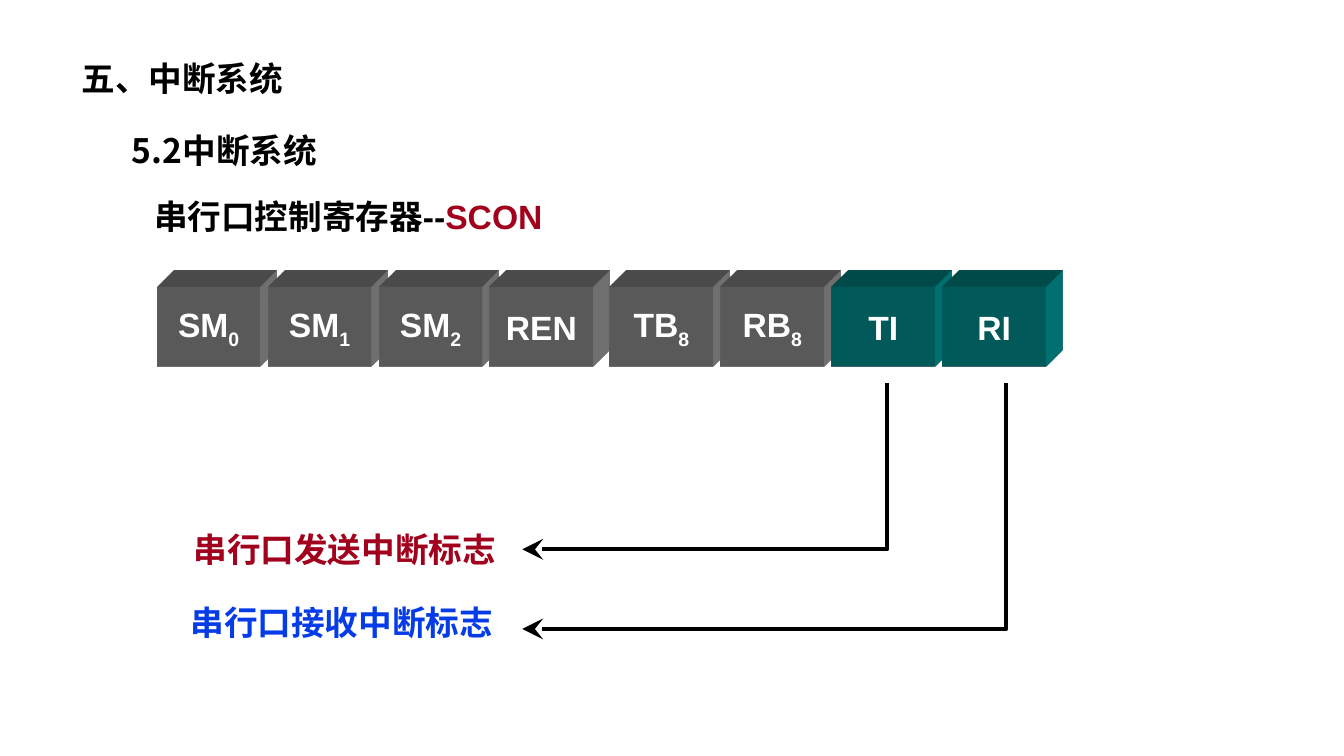
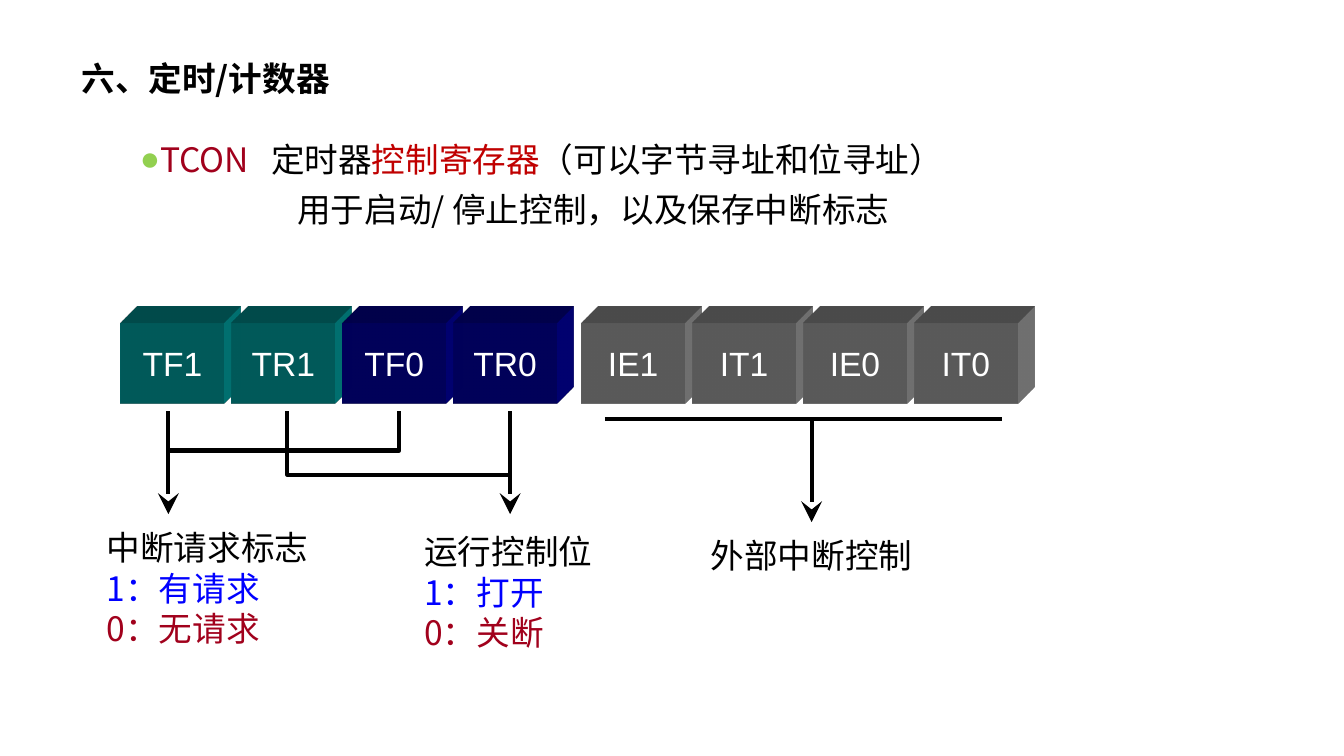
from lxml.etree import SubElement
from pptx import Presentation
from pptx.dml.color import RGBColor
from pptx.enum.shapes import MSO_CONNECTOR as Connector, MSO_SHAPE as Shape
from pptx.enum.text import MSO_ANCHOR as Anchor, MSO_AUTO_SIZE as AutoSize, PP_ALIGN as Align
from pptx.oxml.ns import qn
from pptx.util import Inches, Pt

COLOURS = {
    "black": "000000", "white": "FFFFFF", "crimson": "A1011C", "red": "C00000",
    "blue": "0000FF", "royal": "063CE8", "lime": "92D050",
    "grey": "808080", "teal": "008080", "navy": "000080",
}
SANS, CJK = "Arial", "Noto Sans CJK SC"
CUBE_WIDTH, CUBE_HEIGHT, CUBE_DEPTH, CUBE_PITCH = 1.02, 0.79, 0.47, 1.1


def apply(target, **values):
    for name, value in values.items():
        setattr(target, name, value)


def add_node(parent, tag, **values):
    return SubElement(parent, qn(tag), **values)


def paint(fill, colour):
    fill.solid()
    fill.fore_color.rgb = RGBColor.from_string(COLOURS[colour])


def add_span(para, text, colour="black", font=CJK, bold=False, baseline=0):
    span = para.add_run()
    span.text = text
    paint(span.font.fill, colour)
    apply(span.font, size=Pt(24), name=font, bold=bold)
    props = span._r.get_or_add_rPr()
    add_node(props, "a:ea", typeface=CJK)
    if baseline:
        props.set("baseline", str(baseline))


def add_text(page, left, top, width, height, lines, **style):
    box = page.shapes.add_textbox(*map(Inches, (left, top, width, height)))
    frame = box.text_frame
    apply(frame, word_wrap=True, auto_size=AutoSize.NONE)
    for index, spans in enumerate(lines):
        para = frame.paragraphs[0] if index == 0 else frame.add_paragraph()
        for text, colour in spans:
            add_span(para, text, colour, **style)
    return frame


def add_heading(page, text):
    add_text(page, 0.71, 0.53, 3.68, 0.5, [[(text, "black")]], bold=True)


def style_line(shape, arrow):
    paint(shape.line.fill, "black")
    shape.line.width = Pt(3)
    if arrow:
        add_node(shape.line._get_or_add_ln(), "a:tailEnd", type="stealth", w="lg", len="lg")


def add_elbow(page, points, arrow=False):
    corners = [(Inches(x), Inches(y)) for x, y in points]
    builder = page.shapes.build_freeform(*corners[0])
    builder.add_line_segments(corners[1:], close=False)
    elbow = builder.convert_to_shape()
    elbow.shadow.inherit = False
    elbow.fill.background()
    style_line(elbow, arrow)


def add_line(page, start, end, arrow=False):
    line = page.shapes.add_connector(Connector.STRAIGHT, *map(Inches, start + end))
    style_line(line, arrow)
    add_node(line._element.spPr, "a:effectLst")


def extrude(shape, colour):
    props = shape._element.spPr
    scene = add_node(props, "a:scene3d")
    add_node(scene, "a:camera", prst="legacyObliqueTopRight")
    add_node(scene, "a:lightRig", rig="legacyFlat3", dir="b")
    solid = add_node(props, "a:sp3d", extrusionH=str(Inches(CUBE_DEPTH)),
                     prstMaterial="legacyMatte")
    for bevel in ("a:bevelT", "a:bevelB"):
        add_node(solid, bevel, w="13500", h="13500", prst="angle")
    add_node(add_node(solid, "a:extrusionClr"), "a:srgbClr", val=COLOURS[colour])


def add_cube(page, left, top, label, colour, bold):
    cube = page.shapes.add_shape(
        Shape.RECTANGLE, *map(Inches, (left, top, CUBE_WIDTH, CUBE_HEIGHT)))
    cube.shadow.inherit = False
    paint(cube.fill, colour)
    cube.line.fill.background()
    extrude(cube, colour)
    apply(cube.text_frame, word_wrap=False, vertical_anchor=Anchor.MIDDLE)
    para = cube.text_frame.paragraphs[0]
    para.alignment = Align.CENTER
    name, _, index = label.partition("_")
    add_span(para, name, "white", SANS, bold)
    if index:
        add_span(para, index, "white", SANS, bold, -25000)


def add_register(page, top, nibbles, bold=False):
    for left, bits in nibbles:
        for index, (label, colour) in enumerate(bits):
            add_cube(page, left + index * CUBE_PITCH, top, label, colour, bold)


def add_tcon_summary(page):
    lines = [
        [("TCON\t", "crimson"), ("定时器", "black"), ("控制寄存器", "red"),
         ("（可以字节寻址和位寻址）", "black")],
        [("用于启动/ 停止控制，以及保存中断标志", "black")],
    ]
    frame = add_text(page, 1.15, 1.37, 8.44, 1.18, lines)
    for para, margin, indent in zip(frame.paragraphs, (0.34, 1.7), (-0.2, 0)):
        props = para._p.get_or_add_pPr()
        props.set("marL", str(Inches(margin)))
        props.set("indent", str(Inches(indent)))
        para.line_spacing = 0.9
    first, second = frame.paragraphs
    second.space_before = Pt(10)
    props = first._p.pPr
    add_node(add_node(props, "a:buClr"), "a:srgbClr", val=COLOURS["lime"])
    add_node(props, "a:buFont", typeface=SANS)
    add_node(props, "a:buChar", char="●")
    add_node(add_node(props, "a:tabLst"), "a:tab", pos=str(Inches(1.44)), algn="l")


def build_scon(page):
    add_heading(page, "五、中断系统")
    add_text(page, 1.21, 1.24, 4.67, 0.5, [[("5.2中断系统", "black")]], bold=True)
    add_text(page, 1.43, 1.89, 8.08, 0.81,
             [[("串行口控制寄存器--", "black"), ("SCON", "crimson")]], font=SANS, bold=True)
    add_register(page, 2.85, [
        (1.56, [("SM_0", "grey"), ("SM_1", "grey"), ("SM_2", "grey"), ("REN", "grey")]),
        (6.05, [("TB_8", "grey"), ("RB_8", "grey"), ("TI", "teal"), ("RI", "teal")]),
    ], bold=True)
    flags = [
        ("串行口发送中断标志", "crimson", 1.82, 5.2, 8.8, 5.45),
        ("串行口接收中断标志", "royal", 1.79, 5.92, 9.98, 6.24),
    ]
    for text, colour, left, top, bit, level in flags:
        add_text(page, left, top, 3.32, 0.5, [[(text, colour)]], font=SANS, bold=True)
        add_elbow(page, [(bit, 3.8), (bit, level), (5.18, level)], arrow=True)


def build_tcon(page):
    add_heading(page, "六、定时/计数器")
    add_tcon_summary(page)
    add_register(page, 3.21, [
        (1.2, [("TF1", "teal"), ("TR1", "teal"), ("TF0", "navy"), ("TR0", "navy")]),
        (5.77, [("IE1", "grey"), ("IT1", "grey"), ("IE0", "grey"), ("IT0", "grey")]),
    ])
    for target, source, level in ((1.67, 3.96, 4.47), (5.06, 2.85, 4.71)):
        add_line(page, (target, 4.08), (target, 5.1), arrow=True)
        add_elbow(page, [(source, 4.08), (source, level), (target, level)])
    add_line(page, (6, 4.16), (9.94, 4.16))
    add_line(page, (8.05, 4.16), (8.05, 5.18), arrow=True)
    captions = [
        (0.96, 5.18, 2.99, ["中断请求标志", "1：有请求", "0：无请求"]),
        (4.11, 5.22, 1.89, ["运行控制位", "1：打开", "0：关断"]),
        (6.95, 5.26, 2.28, ["外部中断控制"]),
    ]
    for left, top, width, texts in captions:
        lines = [[pair] for pair in zip(texts, ("black", "blue", "crimson"))]
        add_text(page, left, top, width, 0.5 if len(texts) == 1 else 1.31, lines)


def main():
    deck = Presentation()
    apply(deck, slide_width=Inches(13.33), slide_height=Inches(7.5))
    for build in (build_scon, build_tcon):
        build(deck.slides.add_slide(deck.slide_layouts[6]))
    deck.save("out.pptx")


if __name__ == "__main__":
    main()
